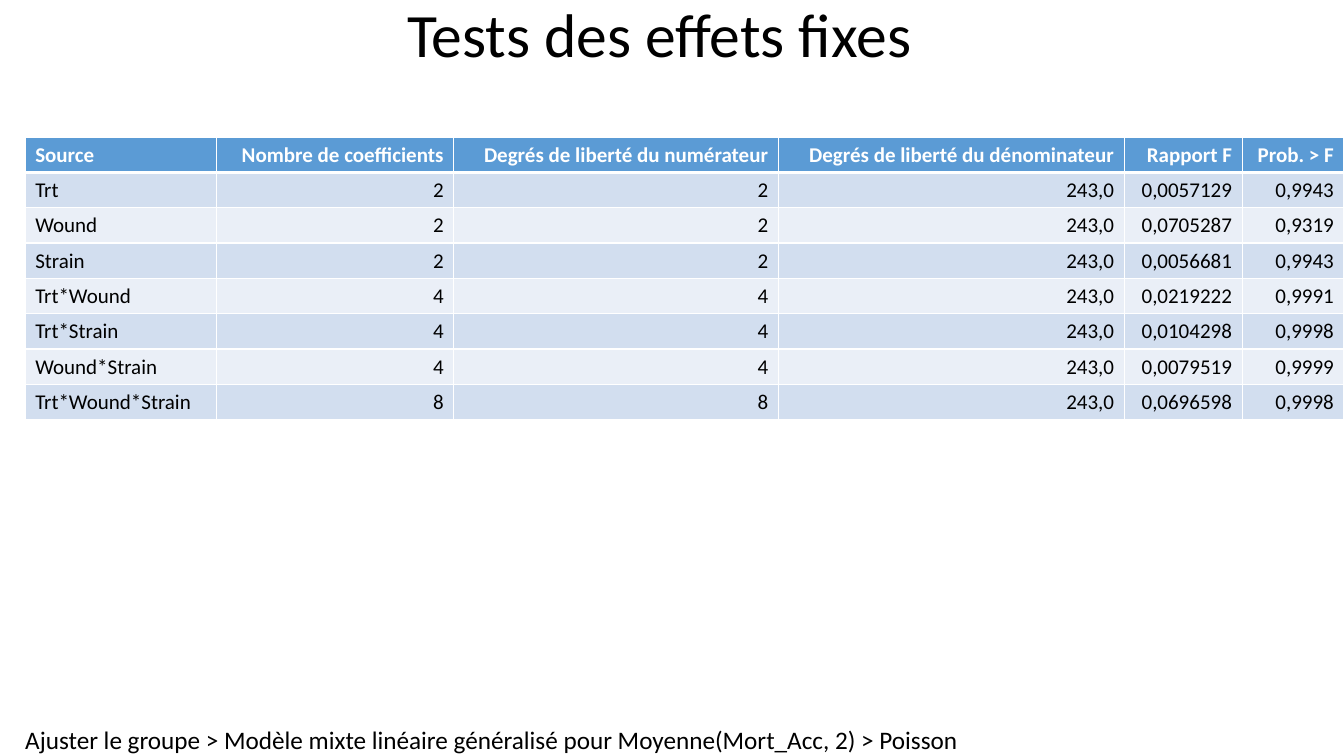
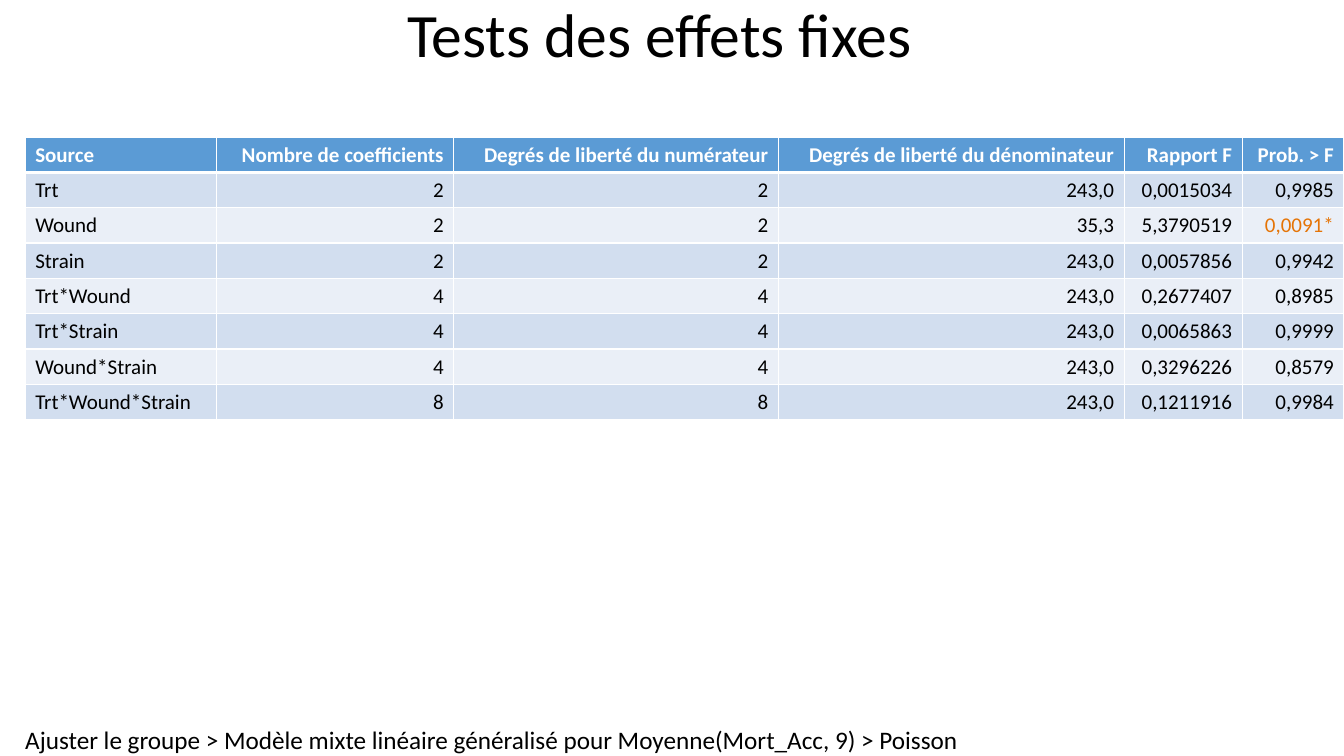
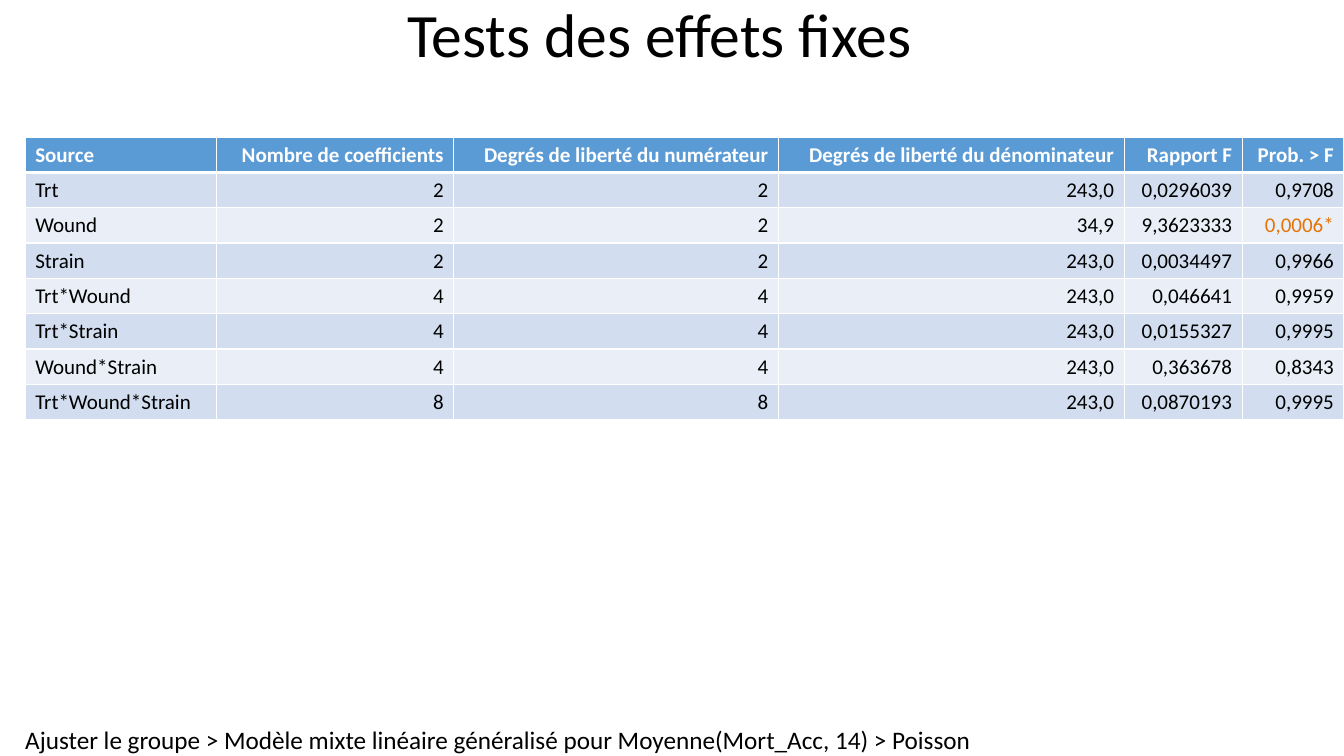
from lxml import etree
from pptx import Presentation
from pptx.dml.color import RGBColor
from pptx.enum import text
from pptx.oxml import ns
from pptx.util import Inches, Pt

BLACK = RGBColor(0x00, 0x00, 0x00)
WHITE = RGBColor(0xFF, 0xFF, 0xFF)
HEADER_BLUE = RGBColor(0x5B, 0x9B, 0xD5)
ROW_FILLS = [RGBColor(0xEA, 0xEF, 0xF7), RGBColor(0xD2, 0xDE, 0xEF)]
SIGNIFICANT_ORANGE = RGBColor(0xE5, 0x74, 0x06)

TITLE_FONT = {"name": "Calibri", "size": Pt(44), "bold": False}
FOOTER_FONT = {"name": "Calibri", "size": Pt(18), "bold": False}
HEADER_FONT = {"name": "Calibri", "size": Pt(15), "bold": True}
BODY_FONT = {"name": "Calibri", "size": Pt(15), "bold": False}

MARGIN = 0.25
COLUMN_WIDTHS = [1.9, 2.35, 3.22, 3.43, 1.17, 1.01]
ROW_HEIGHT = 0.35
HEADERS = ["Source", "Nombre de coefficients", "Degrés de liberté du numérateur",
           "Degrés de liberté du dénominateur", "Rapport F", "Prob. > F"]
EFFECTS = [("Trt", "2"), ("Wound", "2"), ("Strain", "2"), ("Trt*Wound", "4"),
           ("Trt*Strain", "4"), ("Wound*Strain", "4"), ("Trt*Wound*Strain", "8")]

# Day, footer width, then per effect: denominator degrees of freedom, F ratio, p-value
ANALYSES = [
    (2, 9.29, [("243,0", "0,0057129", "0,9943"), ("243,0", "0,0705287", "0,9319"),
               ("243,0", "0,0056681", "0,9943"), ("243,0", "0,0219222", "0,9991"),
               ("243,0", "0,0104298", "0,9998"), ("243,0", "0,0079519", "0,9999"),
               ("243,0", "0,0696598", "0,9998")]),
    (9, 9.29, [("243,0", "0,0015034", "0,9985"), ("35,3", "5,3790519", "0,0091*"),
               ("243,0", "0,0057856", "0,9942"), ("243,0", "0,2677407", "0,8985"),
               ("243,0", "0,0065863", "0,9999"), ("243,0", "0,3296226", "0,8579"),
               ("243,0", "0,1211916", "0,9984")]),
    (14, 9.41, [("243,0", "0,0296039", "0,9708"), ("34,9", "9,3623333", "0,0006*"),
                ("243,0", "0,0034497", "0,9966"), ("243,0", "0,046641", "0,9959"),
                ("243,0", "0,0155327", "0,9995"), ("243,0", "0,363678", "0,8343"),
                ("243,0", "0,0870193", "0,9995")]),
]


def write(frame, content, font, color, align):
    paragraph = frame.paragraphs[0]
    paragraph.alignment = align
    run = paragraph.add_run()
    run.text = content
    for name, value in font.items():
        setattr(run.font, name, value)
    run.font.color.rgb = color
    return paragraph


def set_borders(cell, top, bottom):
    """Draw white cell borders; top and bottom are widths in points."""
    properties = cell._tc.get_or_add_tcPr()
    widths = [("a:lnL", 1), ("a:lnR", 1), ("a:lnT", top), ("a:lnB", bottom)]
    for position, (tag, width) in enumerate(widths):
        line = etree.Element(ns.qn(tag), w=str(Pt(width)))
        fill = etree.SubElement(line, ns.qn("a:solidFill"))
        etree.SubElement(fill, ns.qn("a:srgbClr"), val=str(WHITE))
        properties.insert(position, line)


presentation = Presentation()
presentation.slide_width = Inches(13.33)
presentation.slide_height = Inches(7.5)

for day, footer_width, results in ANALYSES:
    slide = presentation.slides.add_slide(presentation.slide_layouts[6])

    footer = slide.shapes.add_textbox(Inches(MARGIN), Inches(7.19),
                                      Inches(footer_width), Inches(0.31)).text_frame
    footer.word_wrap = False
    footer.auto_size = text.MSO_AUTO_SIZE.SHAPE_TO_FIT_TEXT
    for side in ("left", "top", "right", "bottom"):
        setattr(footer, f"margin_{side}", 0)
    write(footer, "Ajuster le groupe > Modèle mixte linéaire généralisé pour "
          f"Moyenne(Mort_Acc, {day}) > Poisson", FOOTER_FONT, BLACK, text.PP_ALIGN.LEFT)

    title = slide.shapes.add_textbox(0, 0, Inches(13.08), Inches(0.75)).text_frame
    title.word_wrap = True
    title.vertical_anchor = text.MSO_ANCHOR.MIDDLE
    paragraph = write(title, "Tests des effets fixes", TITLE_FONT, BLACK, text.PP_ALIGN.CENTER)
    paragraph.line_spacing = 0.9

    rows = [HEADERS]
    for (effect, count), result in zip(EFFECTS, results):
        rows.append([effect, count, count, *result])
    table = slide.shapes.add_table(len(rows), len(HEADERS), Inches(MARGIN), Inches(1.36),
                                   Inches(sum(COLUMN_WIDTHS)),
                                   Inches(ROW_HEIGHT * len(rows))).table
    for column, width in zip(table.columns, COLUMN_WIDTHS):
        column.width = Inches(width)

    for row_index, values in enumerate(rows):
        table.rows[row_index].height = Inches(ROW_HEIGHT)
        is_header = row_index == 0
        for column_index, value in enumerate(values):
            cell = table.cell(row_index, column_index)
            cell.fill.solid()
            cell.fill.fore_color.rgb = HEADER_BLUE if is_header else ROW_FILLS[row_index % 2]
            set_borders(cell, top=3 if row_index == 1 else 1, bottom=3 if is_header else 1)
            if is_header:
                color = WHITE
            else:
                color = SIGNIFICANT_ORANGE if value.endswith("*") else BLACK
            align = text.PP_ALIGN.RIGHT if column_index else text.PP_ALIGN.LEFT
            write(cell.text_frame, value, HEADER_FONT if is_header else BODY_FONT, color, align)

presentation.save("out.pptx")
